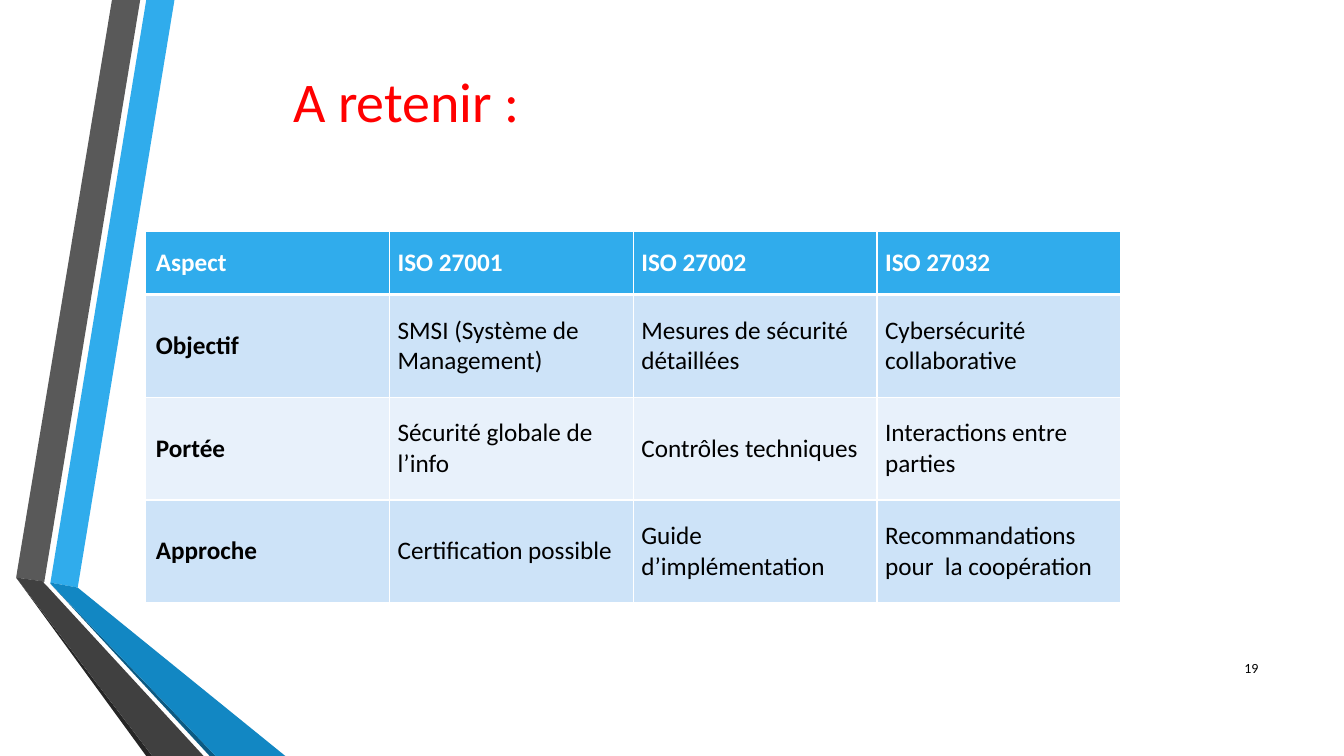
"""Build the summary slide that compares three ISO norms."""
from dataclasses import dataclass
from typing import NamedTuple

from lxml.etree import SubElement
from pptx import Presentation
from pptx.dml.color import RGBColor
from pptx.enum.text import MSO_ANCHOR, PP_ALIGN
from pptx.oxml.ns import qn
from pptx.slide import Slide
from pptx.table import _Cell
from pptx.text.text import _Paragraph
from pptx.util import Inches, Pt

WIDE, HIGH = Inches(13.33), Inches(7.5)
FACE = "Calibri"
WHITE = RGBColor(0xFF, 0xFF, 0xFF)
BLACK = RGBColor(0x00, 0x00, 0x00)
RED = RGBColor(0xFF, 0x00, 0x00)
SKY = RGBColor(0x30, 0xAC, 0xEC)
BLUE = RGBColor(0x12, 0x87, 0xC3)
NAVY = RGBColor(0x0C, 0x5A, 0x82)
GREY = RGBColor(0x59, 0x59, 0x59)
DARK = RGBColor(0x40, 0x40, 0x40)
COAL = RGBColor(0x26, 0x26, 0x26)
PALE = RGBColor(0xCD, 0xE3, 0xF8)
MIST = RGBColor(0xE8, 0xF1, 0xFB)


class Band(NamedTuple):
    """A filled outline with corners in percent of the slide."""
    fill: RGBColor
    dots: list[tuple[float, float]]


@dataclass
class Label:
    """A line of text in a box measured in percent of the slide."""
    text: str
    box: tuple[float, float, float, float]
    size: int
    color: RGBColor
    align: PP_ALIGN = PP_ALIGN.LEFT
    anchor: MSO_ANCHOR = MSO_ANCHOR.TOP


BANDS = [
    Band(SKY, [(3.75, 77.07), (5.78, 77.73), (12.98, 0), (10.88, 0)]),
    Band(GREY, [(10.43, 0), (8.33, 0), (1.2, 76.4), (3.3, 76.93)]),
    Band(COAL, [(1.2, 76.4), (10.88, 100), (11.33, 100)]),
    Band(NAVY, [(3.75, 77.2), (15.6, 100), (16.05, 100)]),
    Band(BLUE, [(3.75, 77.2), (16.05, 100), (21.23, 100), (5.78, 77.73), (3.75, 77.07)]),
    Band(DARK, [(15.15, 100), (3.6, 77.73), (3.23, 77.07), (3.3, 76.93), (1.2, 76.4),
                (11.33, 100)]),
]
LABELS = [
    Label("A retenir :", (21.08, 8.13, 60.9, 10.27), 40, RED),
    Label("19", (89.87, 85.73, 4.5, 5.33), 10, BLACK, PP_ALIGN.RIGHT, MSO_ANCHOR.MIDDLE),
]
GRID = [
    ["Aspect", "ISO 27001", "ISO 27002", "ISO 27032"],
    ["Objectif", "SMSI (Système de Management)", "Mesures de sécurité détaillées",
     "Cybersécurité collaborative"],
    ["Portée", "Sécurité globale de l’info", "Contrôles techniques",
     "Interactions entre parties"],
    ["Approche", "Certification possible", "Guide d’implémentation",
     "Recommandations pour  la coopération"],
]


def across(share: float) -> int:
    """Turn a percent of the slide width into a length."""
    return round(WIDE * share / 100)


def down(share: float) -> int:
    """Turn a percent of the slide height into a length."""
    return round(HIGH * share / 100)


def write(line: _Paragraph, text: str, size: int, color: RGBColor, bold: bool = False) -> None:
    """Put one styled run in a paragraph."""
    run = line.add_run()
    run.text = text
    for name, value in {"name": FACE, "size": Pt(size), "bold": bold}.items():
        setattr(run.font, name, value)
    run.font.color.rgb = color


def draw_band(slide: Slide, band: Band) -> None:
    """Draw one band of the side ribbon."""
    first, *rest = [(across(x), down(y)) for x, y in band.dots]
    pen = slide.shapes.build_freeform(*first)
    pen.add_line_segments(rest, close=True)
    shape = pen.convert_to_shape()
    shape.shadow.inherit = False
    shape.fill.solid()
    shape.fill.fore_color.rgb = band.fill
    shape.line.fill.background()


def draw_label(slide: Slide, label: Label) -> None:
    """Draw one text box."""
    x, y, wide, high = label.box
    frame = slide.shapes.add_textbox(across(x), down(y), across(wide), down(high)).text_frame
    frame.word_wrap = True
    frame.vertical_anchor = label.anchor
    line = frame.paragraphs[0]
    line.alignment = label.align
    write(line, label.text, label.size, label.color)


def edge(cell: _Cell, widths: dict[str, int]) -> None:
    """Give a cell white borders of the given widths."""
    props = cell._tc.get_or_add_tcPr()
    for spot, (side, width) in enumerate(widths.items()):
        rule = SubElement(props, qn(f"a:ln{side}"), w=str(Pt(width)))
        fill = SubElement(rule, qn("a:solidFill"))
        SubElement(fill, qn("a:srgbClr"), val=str(WHITE))
        props.insert(spot, rule)


def draw_cell(cell: _Cell, text: str, row: int, col: int) -> None:
    """Fill and style one table cell."""
    head = row == 0
    cell.fill.solid()
    cell.fill.fore_color.rgb = SKY if head else PALE if row % 2 else MIST
    style = {
        "vertical_anchor": MSO_ANCHOR.MIDDLE,
        "margin_left": Inches(0.08 if col else 0.1),
        "margin_right": Inches(0.08),
        "margin_top": Inches(0.08),
        "margin_bottom": Inches(0.08),
    }
    for name, value in style.items():
        setattr(cell, name, value)
    edge(cell, {"L": 1, "R": 1, "T": 3 if row == 1 else 1, "B": 3 if head else 1})
    write(cell.text_frame.paragraphs[0], text, 18, WHITE if head else BLACK, head or col == 0)


def draw_table(slide: Slide) -> None:
    """Draw the table of norms."""
    rows, cols = len(GRID), len(GRID[0])
    table = slide.shapes.add_table(
        rows, cols, across(10.85), down(30.67), across(72.54), down(49.07)).table
    for row, texts in enumerate(GRID):
        table.rows[row].height = down(13.6 if row else 8.27)
        for col, text in enumerate(texts):
            draw_cell(table.cell(row, col), text, row, col)


def main() -> None:
    """Build and save the slide."""
    deck = Presentation()
    deck.slide_width, deck.slide_height = WIDE, HIGH
    slide = deck.slides.add_slide(deck.slide_layouts[6])
    for band in BANDS:
        draw_band(slide, band)
    draw_table(slide)
    for label in LABELS:
        draw_label(slide, label)
    deck.save("out.pptx")


if __name__ == "__main__":
    main()
